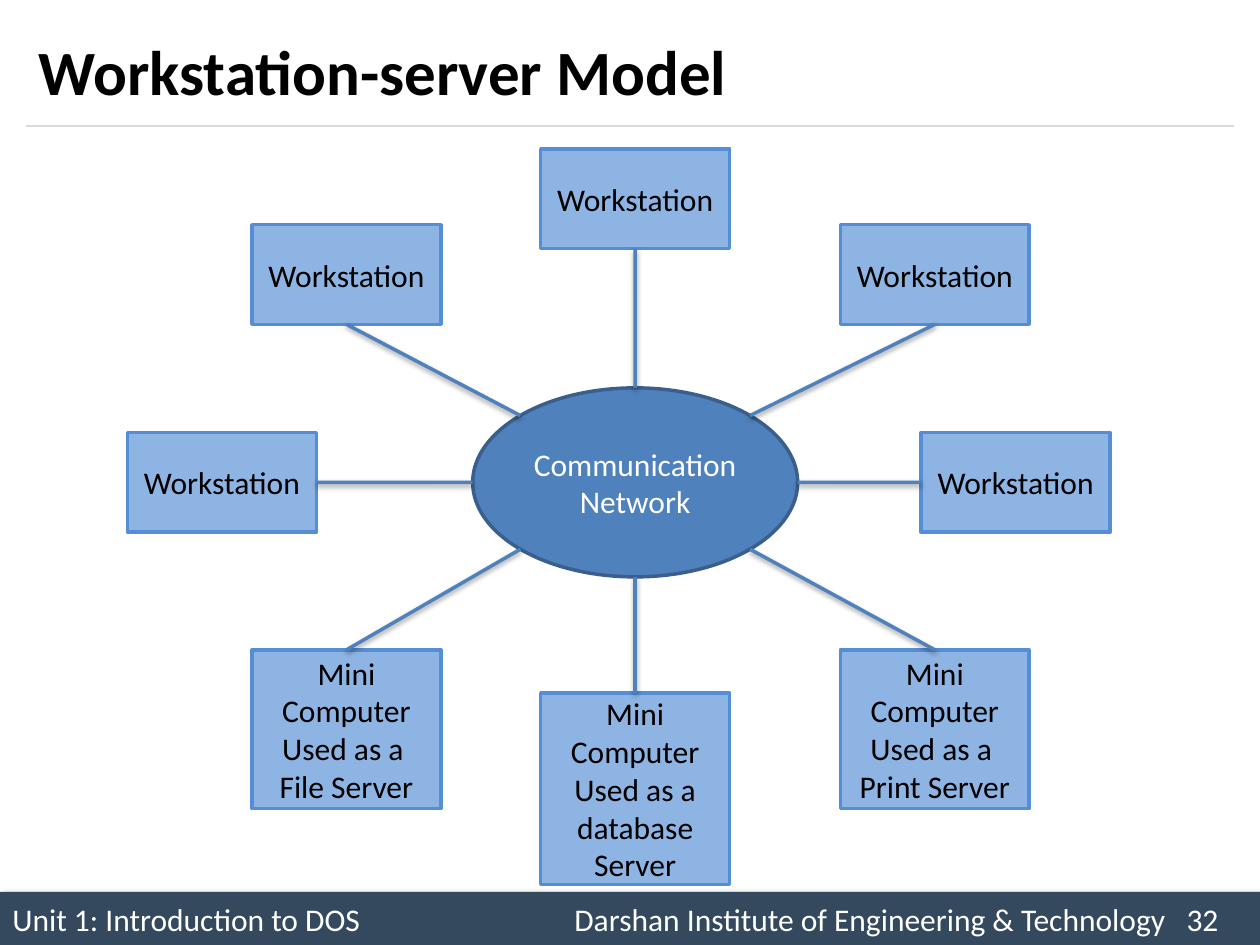
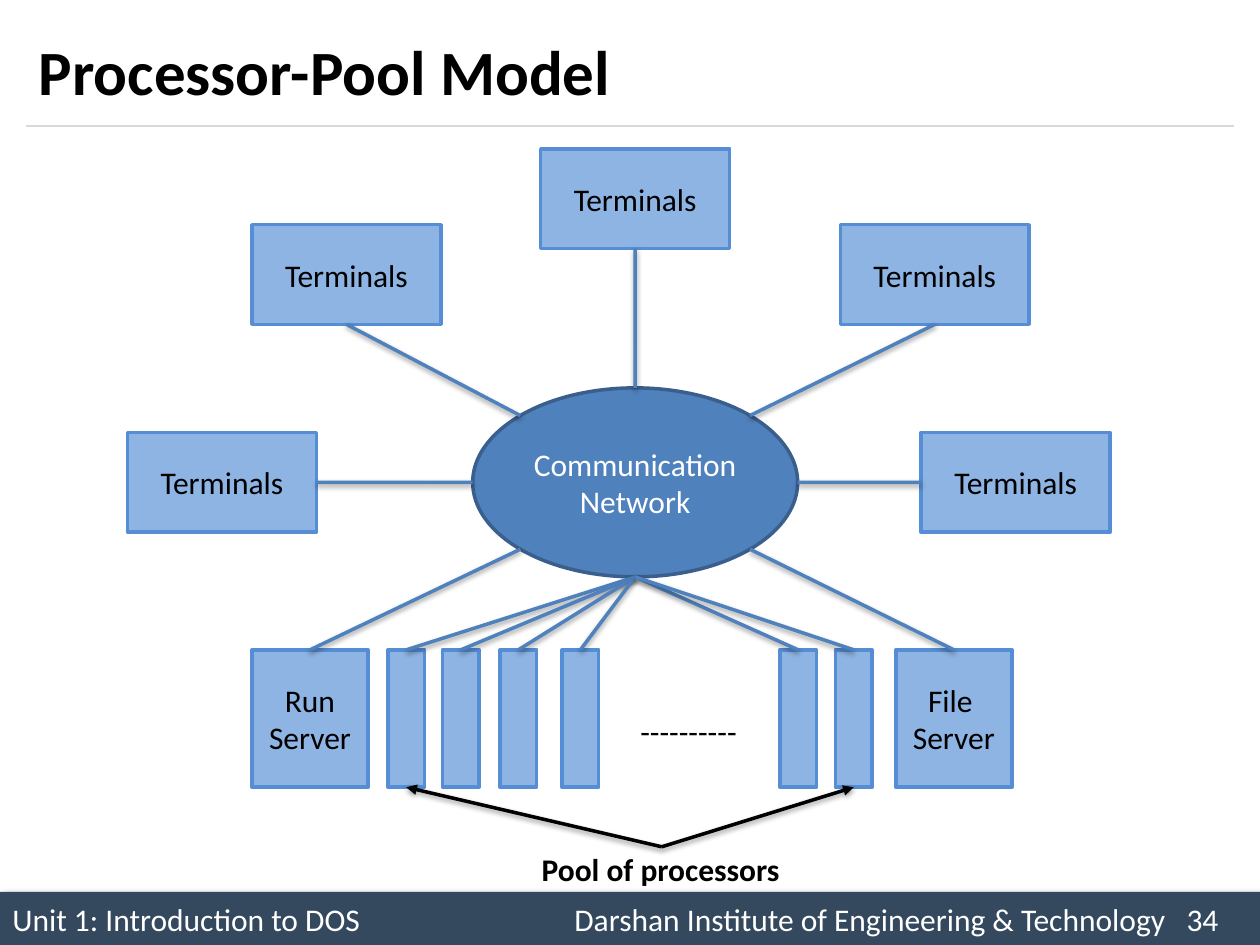
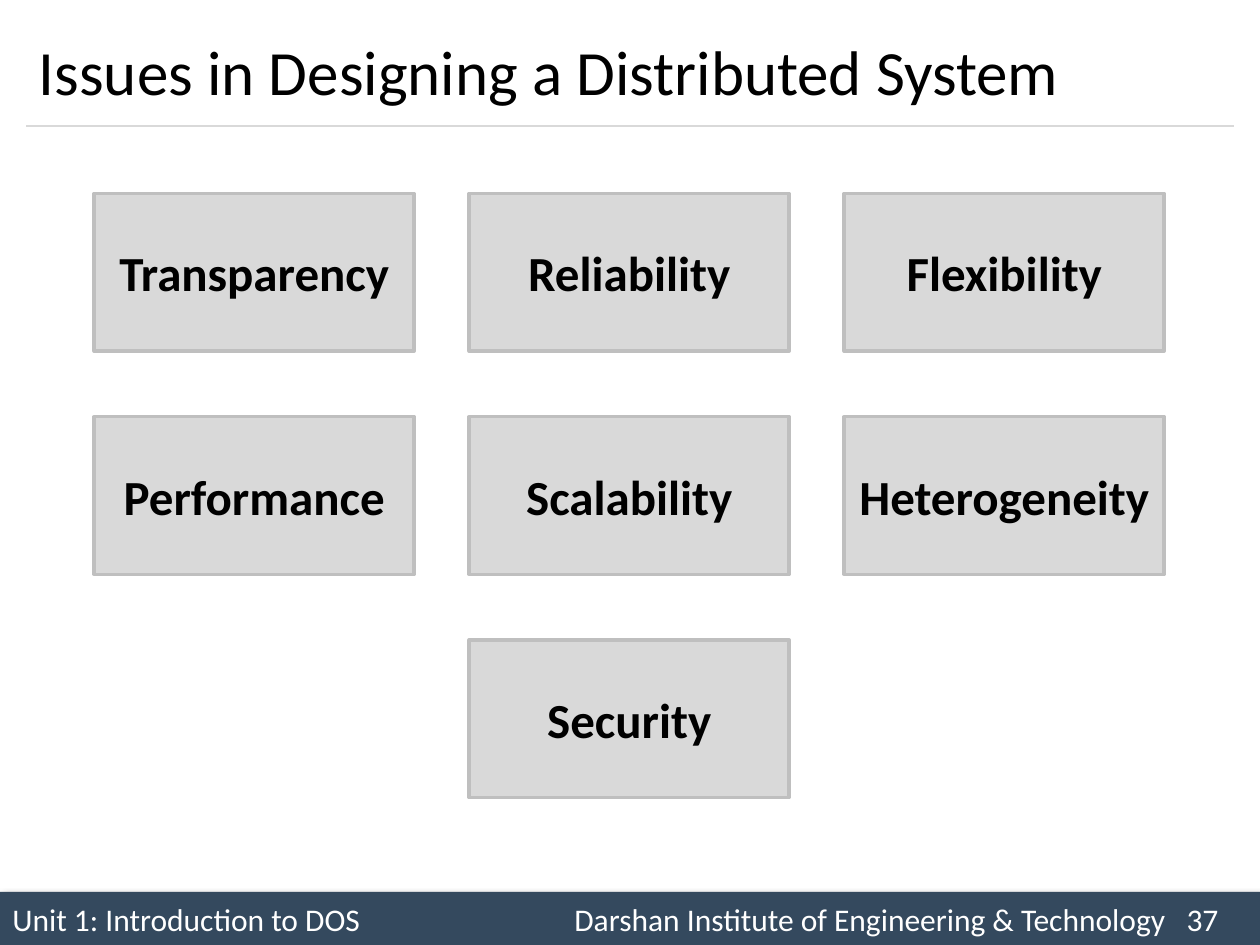
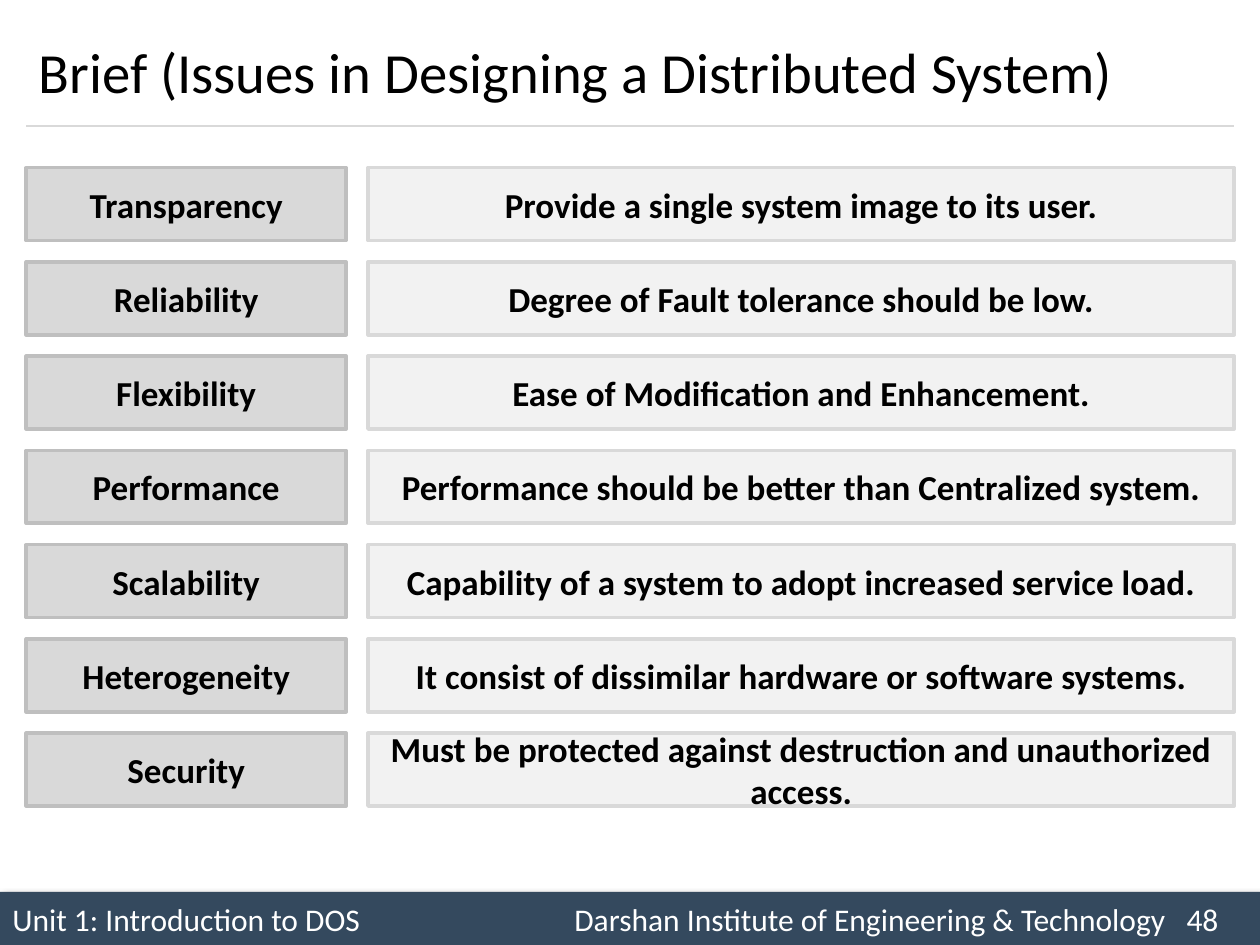
from math import cos, radians, sin

from lxml.etree import SubElement
from pptx import Presentation
from pptx.dml.color import RGBColor
from pptx.enum.shapes import MSO_CONNECTOR, MSO_SHAPE
from pptx.enum.text import MSO_ANCHOR, PP_ALIGN
from pptx.oxml.ns import qn
from pptx.util import Cm, Pt

FONT = "Calibri"
COLORS = {
    "black": "000000", "white": "FFFFFF", "footer": "34495E", "rule": "D9D9D9",
    "network": "4F81BD", "network_edge": "3A5F8C",
    "node": "8EB4E3", "node_edge": "558ED5",
    "issue": "D9D9D9", "issue_edge": "BFBFBF",
    "brief": "F2F2F2", "brief_edge": "D9D9D9",
}
# Shadows: blur and distance in points, angle in degrees, opacity in percent
LINE_SHADOW = {"blur": 3.1, "distance": 1.6, "angle": 90, "opacity": 38}
FOOTER_SHADOW = {"blur": 4, "distance": 3, "angle": 45, "opacity": 40}
TOP, LEFT, BOTTOM, RIGHT = range(4)

# Content
UNIT = "Unit 1: Introduction to DOS"
INSTITUTE = "Darshan Institute of Engineering & Technology"
NETWORK = ["Communication", "Network"]
ISSUES = {
    "Transparency": "Provide a single system image to its user.",
    "Reliability": "Degree of Fault tolerance should be low.",
    "Flexibility": "Ease of Modification and Enhancement.",
    "Performance": "Performance should be better than Centralized system.",
    "Scalability": "Capability of a system to adopt increased service load.",
    "Heterogeneity": "It consist of dissimilar hardware or software systems.",
    "Security": "Must be protected against destruction and unauthorized access.",
}

# Diagram geometry in cm: boxes are left, top, width, height
NETWORK_BOX = (9.53, 7.82, 6.55, 3.81)
CLIENT_SIZE = (3.81, 2.01)
# Client left, top, side that is joined, angle on the network ellipse
CLIENTS = [
    (2.57, 8.72, RIGHT, 180),
    (5.08, 4.53, BOTTOM, 225),
    (10.9, 3.0, BOTTOM, 270),
    (16.94, 4.53, BOTTOM, 315),
    (18.57, 8.72, LEFT, 0),
]
# Server text, box, angle on the network ellipse
MINI_SERVERS = [
    (["Mini Computer", "Used as a ", "File Server"], (5.08, 13.1, 3.81, 3.2), 135),
    (["Mini Computer", "Used as a database Server"], (10.9, 13.97, 3.81, 3.86), 90),
    (["Mini Computer", "Used as a ", "Print Server"], (16.94, 13.1, 3.81, 3.2), 45),
]
POOL_SERVERS = [
    (["Run", "Server"], (5.08, 13.1, 2.34, 2.77), 135),
    (["File ", "Server"], (18.06, 13.1, 2.34, 2.77), 45),
]
PROCESSORS = [([], (left, 13.1, 0.74, 2.77), 90)
              for left in (7.82, 8.92, 10.08, 11.33, 15.72, 16.84)]
POOL_TIP = (13.34, 17.07)


def rgb(name):
    return RGBColor.from_string(COLORS[name])


def write_text(frame, lines, size=18, color="black", bold=False,
               align=PP_ALIGN.CENTER, tabs=()):
    """Fill a text frame with one paragraph for each line."""
    frame.word_wrap = True
    frame.vertical_anchor = MSO_ANCHOR.MIDDLE
    for index, line in enumerate(lines):
        paragraph = frame.paragraphs[0] if index == 0 else frame.add_paragraph()
        paragraph.alignment = align
        if tabs:
            tab_list = SubElement(paragraph._p.get_or_add_pPr(), qn("a:tabLst"))
            for position in tabs:
                SubElement(tab_list, qn("a:tab"), pos=str(Cm(position)), algn="l")
        run = paragraph.add_run()
        run.text = line
        run.font.name = FONT
        run.font.size = Pt(size)
        run.font.bold = bold
        run.font.color.rgb = rgb(color)


def set_shadow(shape, shadow=None):
    """Replace the theme shadow by the given one, or by none."""
    effects = SubElement(shape._element.spPr, qn("a:effectLst"))
    if shadow:
        outer = SubElement(
            effects, qn("a:outerShdw"), blurRad=str(Pt(shadow["blur"])),
            dist=str(Pt(shadow["distance"])), dir=str(shadow["angle"] * 60000),
            rotWithShape="0")
        black = SubElement(outer, qn("a:srgbClr"), val=COLORS["black"])
        SubElement(black, qn("a:alpha"), val=str(shadow["opacity"] * 1000))


def add_box(slide, box, lines, fill, edge=None, kind=MSO_SHAPE.RECTANGLE,
            shadow=None, **text_format):
    shape = slide.shapes.add_shape(kind, *map(Cm, box))
    shape.fill.solid()
    shape.fill.fore_color.rgb = rgb(fill)
    if edge:
        shape.line.color.rgb = rgb(edge)
        shape.line.width = Pt(2)
    else:
        shape.line.fill.background()
    set_shadow(shape, shadow)
    write_text(shape.text_frame, lines, **text_format)
    return shape


def add_label(slide, box, text, **text_format):
    label = slide.shapes.add_textbox(*map(Cm, box))
    write_text(label.text_frame, [text], **text_format)


def add_line(slide, start, end, color, width=2, shadow=None, arrow=False):
    line = slide.shapes.add_connector(MSO_CONNECTOR.STRAIGHT, *map(Cm, start + end))
    line.line.color.rgb = rgb(color)
    line.line.width = Pt(width)
    if arrow:
        SubElement(line.line._get_or_add_ln(), qn("a:tailEnd"), type="triangle")
    set_shadow(line, shadow)
    return line


def join(slide, point, shape, side, color="network", arrow=False):
    """Draw a line from a point to the middle of a side of a rectangle."""
    line = add_line(slide, point, point, color, shadow=LINE_SHADOW, arrow=arrow)
    line.end_connect(shape, side)


def network_point(angle):
    left, top, width, height = NETWORK_BOX
    return (left + width / 2 * (1 + cos(radians(angle))),
            top + height / 2 * (1 + sin(radians(angle))))


def start_slide(presentation, title, number, size=36, bold=False):
    """Add a slide with its footer band, rule and title."""
    slide = presentation.slides.add_slide(presentation.slide_layouts[5])
    add_box(slide, (0, 17.98, 25.4, 1.07), [f"{UNIT}\t{INSTITUTE}\t{number}"],
            "footer", shadow=FOOTER_SHADOW, color="white",
            align=PP_ALIGN.LEFT, tabs=(11.33, 23.67))
    add_line(slide, (0.53, 2.54), (24.87, 2.54), "rule", width=0.75)
    placeholder = slide.shapes.title
    placeholder.left, placeholder.top = Cm(0.53), Cm(0.3)
    placeholder.width, placeholder.height = Cm(24.33), Cm(2.24)
    write_text(placeholder.text_frame, [title], size=size, bold=bold,
               align=PP_ALIGN.LEFT)
    return slide


def add_network(slide, client_text, servers):
    """Draw the network with its clients and servers; return the server boxes."""
    add_box(slide, NETWORK_BOX, NETWORK, "network", "network_edge",
            kind=MSO_SHAPE.OVAL, color="white")
    for left, top, side, angle in CLIENTS:
        client = add_box(slide, (left, top, *CLIENT_SIZE), [client_text],
                         "node", "node_edge")
        join(slide, network_point(angle), client, side)
    server_boxes = []
    for lines, box, angle in servers:
        server = add_box(slide, box, lines, "node", "node_edge")
        join(slide, network_point(angle), server, TOP)
        server_boxes.append(server)
    return server_boxes


def add_workstation_slide(presentation):
    slide = start_slide(presentation, "Workstation-server Model", 32, bold=True)
    add_network(slide, "Workstation", MINI_SERVERS)


def add_pool_slide(presentation):
    slide = start_slide(presentation, "Processor-Pool Model", 34, bold=True)
    boxes = add_network(slide, "Terminals", POOL_SERVERS + PROCESSORS)
    processors = boxes[len(POOL_SERVERS):]
    add_label(slide, (12.19, 14.27, 3.38, 0.91), "----------")
    add_label(slide, (10.36, 17.07, 5.92, 0.91), "Pool of processors", bold=True)
    for processor in (processors[0], processors[-1]):
        join(slide, POOL_TIP, processor, BOTTOM, color="black", arrow=True)


def add_issues_slide(presentation):
    slide = start_slide(presentation, "Issues in Designing a Distributed System", 37)
    for index, issue in enumerate(ISSUES):
        row, column = divmod(index, 3)
        if index == len(ISSUES) - 1:  # the last issue stands alone, centred
            column = 1
        add_box(slide, (1.9 + 7.56 * column, 3.9 + 4.5 * row, 6.45, 3.18), [issue],
                "issue", "issue_edge", size=28, bold=True)


def add_brief_slide(presentation):
    slide = start_slide(presentation, "Brief (Issues in Designing a Distributed System)",
                        48, size=32.4)
    for row, (issue, brief) in enumerate(ISSUES.items()):
        top = 3.38 + 1.9 * row
        add_box(slide, (0.53, top, 6.45, 1.47), [issue],
                "issue", "issue_edge", size=20, bold=True)
        add_box(slide, (7.42, top, 17.46, 1.47), [brief],
                "brief", "brief_edge", size=20, bold=True)


def main():
    presentation = Presentation()
    presentation.slide_width, presentation.slide_height = Cm(25.4), Cm(19.05)
    add_workstation_slide(presentation)
    add_pool_slide(presentation)
    add_issues_slide(presentation)
    add_brief_slide(presentation)
    presentation.save("out.pptx")


if __name__ == "__main__":
    main()
